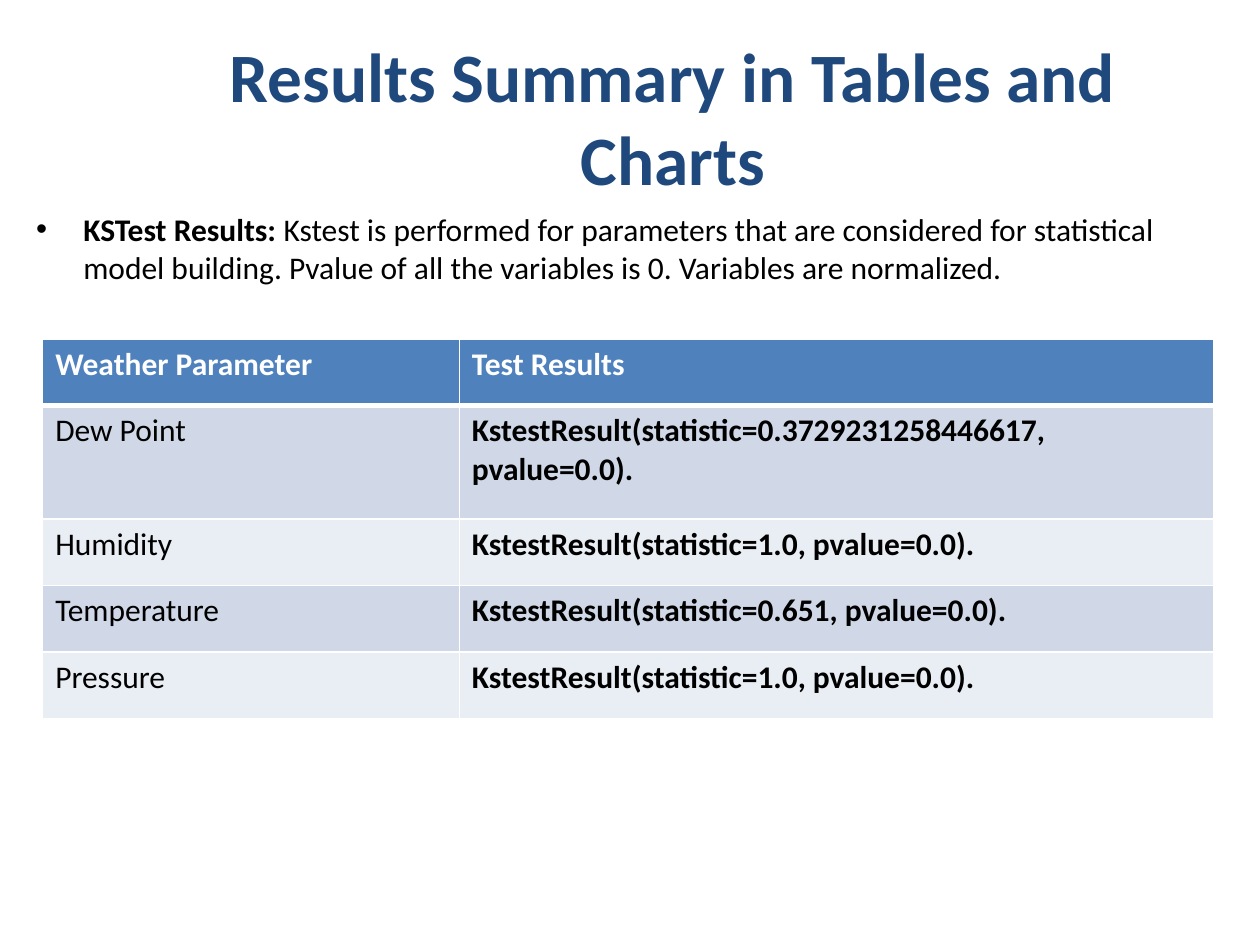
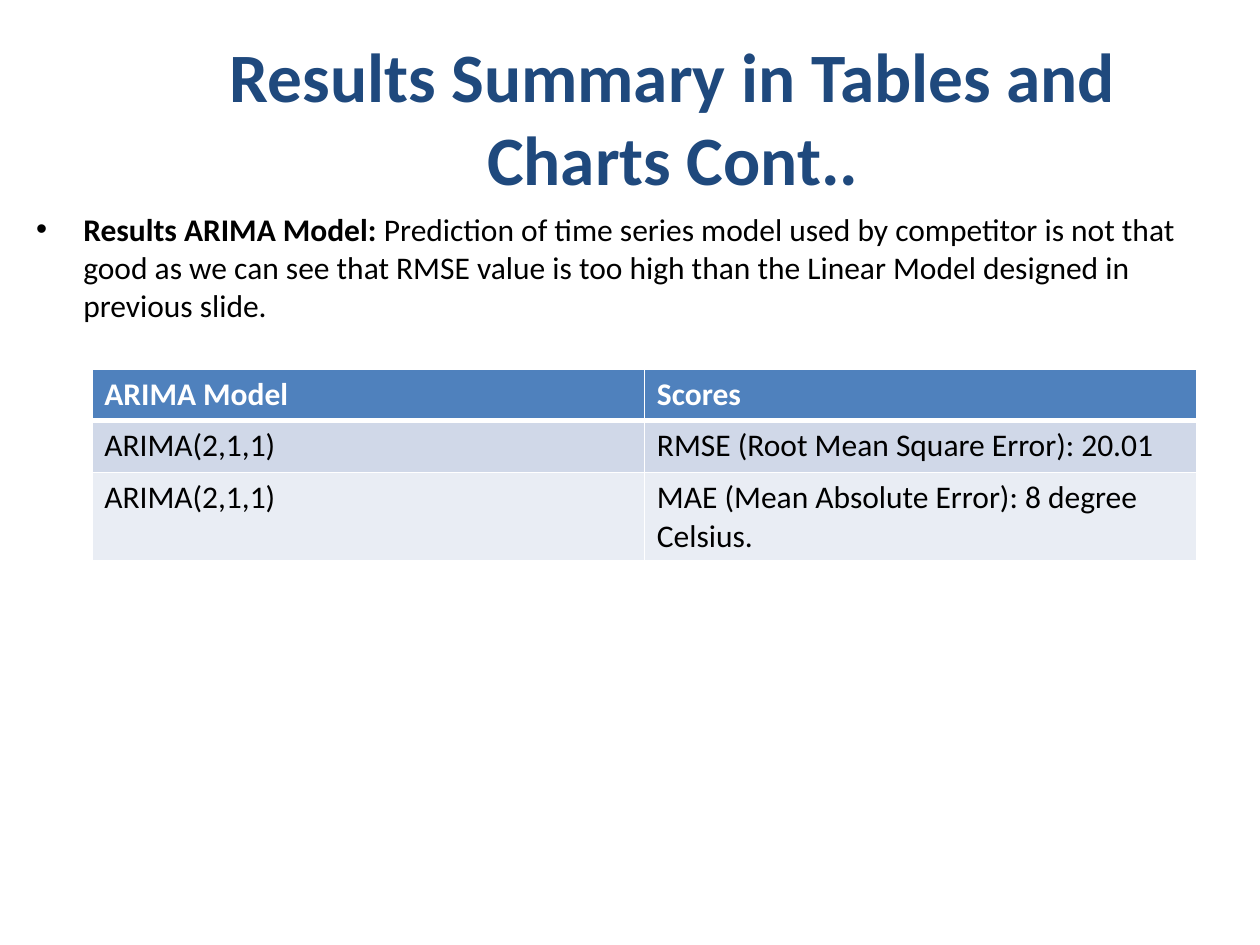
from dataclasses import dataclass

import lxml.etree
import pptx
import pptx.dml.color
import pptx.enum.shapes
import pptx.enum.text
import pptx.oxml.ns
import pptx.util

Cm, Pt = pptx.util.Cm, pptx.util.Pt
qn = pptx.oxml.ns.qn

# Shared style
FONT = "Calibri"
COLORS = {
    "white": "FFFFFF",
    "black": "000000",
    "title": "1F497D",
    "header": "4F81BD",
    "band_dark": "D0D8E8",
    "band_light": "E9EDF4",
}
TITLE_SIZE, TEXT_SIZE = 39.6, 18


@dataclass
class TableSpec:
    left: float
    top: float
    col_widths: list[float]
    row_heights: list[float]
    rows: list[tuple[str, str]]
    bold_results: bool = False


@dataclass
class SlideSpec:
    title: str
    lead: str
    body: str
    body_height: float
    table: TableSpec


SLIDES = [
    SlideSpec(
        "Results Summary in Tables and Charts",
        "KSTest Results: ",
        "Kstest is performed for parameters that are considered for statistical "
        "model building. Pvalue of all the variables is 0. Variables are normalized.",
        2.08,
        TableSpec(
            0.86, 6.83, [8.4, 15.2], [1.34, 2.29, 1.34, 1.34, 1.34],
            [
                ("Weather Parameter", "Test Results"),
                ("Dew Point", "KstestResult(statistic=0.3729231258446617, pvalue=0.0)."),
                ("Humidity", "KstestResult(statistic=1.0, pvalue=0.0)."),
                ("Temperature", "KstestResult(statistic=0.651, pvalue=0.0)."),
                ("Pressure", "KstestResult(statistic=1.0, pvalue=0.0)."),
            ],
            bold_results=True,
        ),
    ),
    SlideSpec(
        "Results Summary in Tables and Charts Cont..",
        "Results ARIMA Model: ",
        "Prediction of time series model used by competitor is not that good as we can "
        "see that RMSE value is too high than the Linear Model designed in previous slide.",
        2.84,
        TableSpec(
            1.85, 7.44, [11.14, 11.14], [1.04, 1.04, 1.04],
            [
                ("ARIMA Model", "Scores"),
                ("ARIMA(2,1,1)", "RMSE (Root Mean Square Error): 20.01"),
                ("ARIMA(2,1,1)", "MAE (Mean Absolute Error): 8 degree Celsius."),
            ],
        ),
    ),
]


def rgb(name: str) -> pptx.dml.color.RGBColor:
    return pptx.dml.color.RGBColor.from_string(COLORS[name])


def style_run(r, size: float, color: str, bold: bool) -> None:
    r.font.name = FONT
    r.font.size = Pt(size)
    r.font.bold = bold
    r.font.color.rgb = rgb(color)


def add_title(slide, text: str) -> None:
    sp = slide.shapes.add_shape(pptx.enum.shapes.MSO_SHAPE.RECTANGLE,
                                Cm(3), Cm(0.76), Cm(21.13), Cm(3.18))
    sp.shadow.inherit = False
    sp.fill.solid()
    sp.fill.fore_color.rgb = rgb("white")
    sp.line.fill.background()
    tf = sp.text_frame
    tf.word_wrap = True
    tf.vertical_anchor = pptx.enum.text.MSO_ANCHOR.MIDDLE
    tf.text = text
    p = tf.paragraphs[0]
    p.alignment = pptx.enum.text.PP_ALIGN.CENTER
    style_run(p.runs[0], TITLE_SIZE, "title", True)


def add_bullet(slide, lead: str, body: str, height: float) -> None:
    sp = slide.shapes.add_textbox(Cm(0.48), Cm(4.11), Cm(24.31), Cm(height))
    tf = sp.text_frame
    tf.word_wrap = True
    p = tf.paragraphs[0]
    p.space_before = Pt(0.2 * TEXT_SIZE)
    for text, bold in ((lead, True), (body, False)):
        r = p.add_run()
        r.text = text
        style_run(r, TEXT_SIZE, "black", bold)
    # Hanging bullet
    pPr = p._p.get_or_add_pPr()
    indent = Cm(0.95)
    pPr.set("marL", str(indent))
    pPr.set("indent", str(-indent))
    lxml.etree.SubElement(pPr, qn("a:buFont"), typeface="Arial")
    lxml.etree.SubElement(pPr, qn("a:buChar"), char="•")


def set_borders(cell, top: float, bottom: float) -> None:
    tcPr = cell._tc.get_or_add_tcPr()
    widths = {"a:lnL": 1, "a:lnR": 1, "a:lnT": top, "a:lnB": bottom}
    for i, (tag, width) in enumerate(widths.items()):
        ln = lxml.etree.Element(qn(tag), w=str(Pt(width)))
        fill = lxml.etree.SubElement(ln, qn("a:solidFill"))
        lxml.etree.SubElement(fill, qn("a:srgbClr"), val=COLORS["white"])
        tcPr.insert(i, ln)


def add_results_table(slide, spec: TableSpec) -> None:
    table = slide.shapes.add_table(
        len(spec.rows), len(spec.col_widths), Cm(spec.left), Cm(spec.top),
        Cm(sum(spec.col_widths)), Cm(sum(spec.row_heights))).table
    for column, width in zip(table.columns, spec.col_widths):
        column.width = Cm(width)
    for row, height in zip(table.rows, spec.row_heights):
        row.height = Cm(height)
    for i, texts in enumerate(spec.rows):
        header = i == 0
        band = "header" if header else "band_dark" if i % 2 else "band_light"
        for j, text in enumerate(texts):
            cell = table.cell(i, j)
            cell.text_frame.text = text
            bold = header or (spec.bold_results and j == 1)
            style_run(cell.text_frame.paragraphs[0].runs[0], TEXT_SIZE,
                      "white" if header else "black", bold)
            cell.fill.solid()
            cell.fill.fore_color.rgb = rgb(band)
            set_borders(cell, top=3 if i == 1 else 1, bottom=3 if header else 1)


def main() -> None:
    prs = pptx.Presentation()
    prs.slide_width, prs.slide_height = Cm(25.4), Cm(19.05)
    for spec in SLIDES:
        slide = prs.slides.add_slide(prs.slide_layouts[6])
        add_title(slide, spec.title)
        add_bullet(slide, spec.lead, spec.body, spec.body_height)
        add_results_table(slide, spec.table)
    prs.save("out.pptx")


if __name__ == "__main__":
    main()
